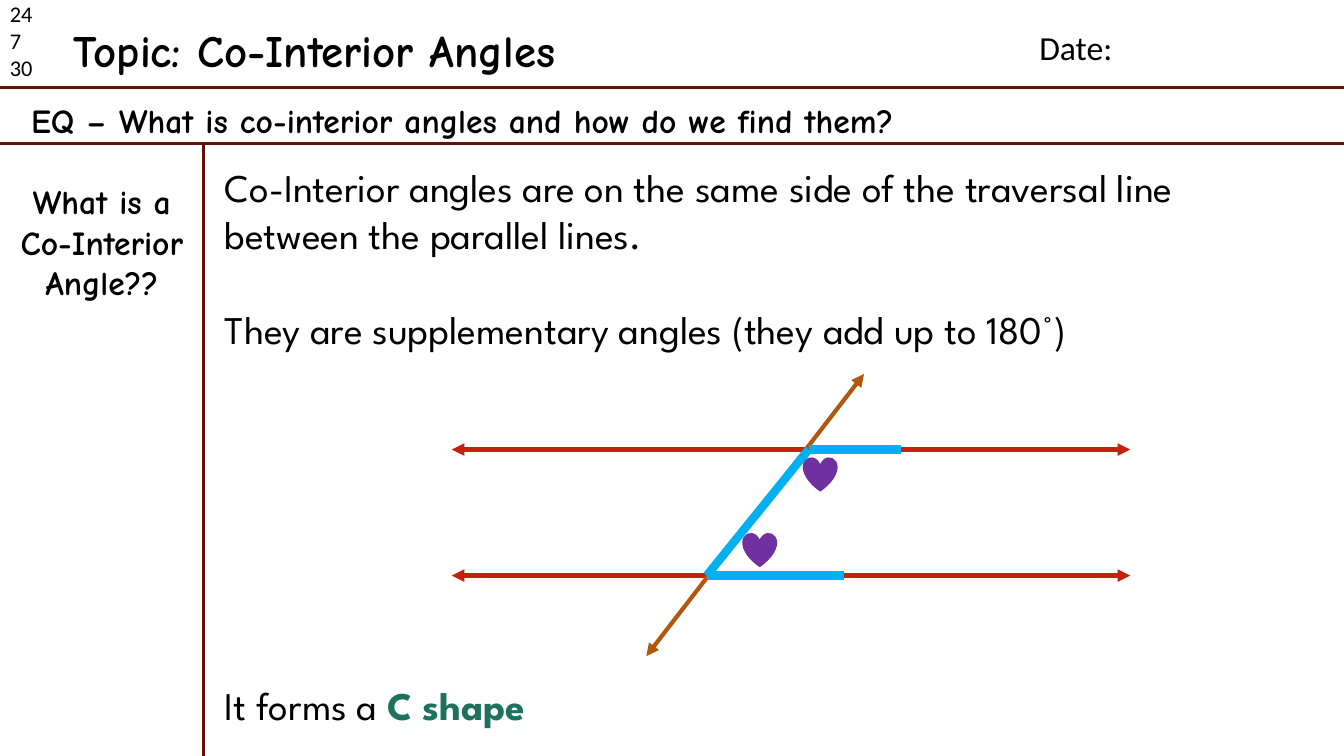
"""Build a Cornell-notes slide that explains co-interior angles."""
from lxml.etree import SubElement
from pptx import Presentation
from pptx.dml.color import RGBColor
from pptx.enum.shapes import MSO_CONNECTOR, MSO_SHAPE
from pptx.enum.text import MSO_ANCHOR, MSO_AUTO_SIZE, PP_ALIGN
from pptx.oxml.ns import qn
from pptx.util import Pt

PX = 9144
WIDTH, HEIGHT = 1333, 750
TOPIC_BOTTOM, QUESTION_BOTTOM, CUE_RIGHT = 87, 142, 202

BLACK = RGBColor(0x00, 0x00, 0x00)
MAROON = RGBColor(0x62, 0x11, 0x07)
RED = RGBColor(0xC4, 0x22, 0x0D)
BROWN = RGBColor(0xB0, 0x59, 0x0E)
BLUE = RGBColor(0x00, 0xB0, 0xF0)
PURPLE = RGBColor(0x70, 0x30, 0xA0)
GREEN = RGBColor(0x1F, 0x71, 0x5F)

PLAIN, HAND, NOTES = "Calibri", "Comic Neue", "League Spartan"


def place(shape, box):
    """Move a shape to a box of left, top, width and height in px."""
    shape.left, shape.top, shape.width, shape.height = (side * PX for side in box)


def format_text(shape, font_name, size, bold=False, align=PP_ALIGN.LEFT, wrap=True):
    """Give all the text of a shape one look, anchored at the top."""
    frame = shape.text_frame
    frame.auto_size = MSO_AUTO_SIZE.NONE
    frame.word_wrap = wrap
    frame.vertical_anchor = MSO_ANCHOR.TOP
    for paragraph in frame.paragraphs:
        paragraph.alignment = align
        for run in paragraph.runs:
            run.font.name = font_name
            run.font.size = Pt(size)
            run.font.bold = bold
            run.font.color.rgb = BLACK


def add_text(slide, box, text, font_name, size, **look):
    """Add a formatted text box."""
    shape = slide.shapes.add_textbox(*(side * PX for side in box))
    shape.text_frame.text = text
    format_text(shape, font_name, size, **look)


def add_line(slide, start, end, color, weight, arrows=False):
    """Add a straight line, with arrowheads at both ends if asked."""
    line = slide.shapes.add_connector(
        MSO_CONNECTOR.STRAIGHT, *(value * PX for value in (*start, *end)))
    line.line.color.rgb = color
    line.line.width = Pt(weight)
    if arrows:
        outline = line.line._get_or_add_ln()
        for tag in ("a:headEnd", "a:tailEnd"):
            SubElement(outline, qn(tag), type="triangle")
    SubElement(line._element.spPr, qn("a:effectLst"))


def add_rules(slide):
    """Draw the lines that part the topic, question, cue and notes."""
    for start, end in (
        ((0, TOPIC_BOTTOM), (WIDTH, TOPIC_BOTTOM)),
        ((0, QUESTION_BOTTOM), (WIDTH, QUESTION_BOTTOM)),
        ((CUE_RIGHT, QUESTION_BOTTOM), (CUE_RIGHT, HEIGHT)),
    ):
        add_line(slide, start, end, MAROON, 2.25)


def add_header(slide, box):
    """Fill the topic band with the numbers, the title and the date."""
    left, top, _, _ = box
    add_text(slide, (left, top - 5, 63, 91), "24\n7\n30", PLAIN, 16)
    title = slide.shapes.title
    place(title, (left + 63, top + 18, 530, 64))
    title.text_frame.text = "Topic: Co-Interior Angles"
    format_text(title, HAND, 32, bold=True, wrap=False)
    add_text(slide, (left + 1021, top + 22, 236, 50), "Date:", PLAIN, 24)


def add_question(slide, box):
    """Write the essential question in its band."""
    left, top, _, _ = box
    add_text(slide, (left + 21, top + 7, 1160, 50),
             "EQ – What is co-interior angles and how do we find them?",
             HAND, 24, bold=True)


def add_cue(slide, box):
    """Write the cue question in the left column."""
    left, top, width, _ = box
    add_text(slide, (left, top + 33, width, 131), "What is a Co-Interior Angle??",
             HAND, 24, bold=True, align=PP_ALIGN.CENTER)


def add_notes(slide, box):
    """Fill the body placeholder with the notes."""
    left, top, _, _ = box
    body = slide.placeholders[1]
    place(body, (left + 11, top + 15, 1044, 576))
    body.text_frame.text = (
        "Co-Interior angles are on the same side of the traversal line "
        "between the parallel lines.\n"
        "They are supplementary angles (they add up to 180°)\n"
        "It forms a ")
    paragraphs = body.text_frame.paragraphs
    shape_name = paragraphs[-1].add_run()
    shape_name.text = "C shape"
    for paragraph, gap in zip(paragraphs, (0, 34, 235)):
        properties = paragraph._p.get_or_add_pPr()
        properties.set("marL", "0")
        properties.set("indent", "0")
        SubElement(properties, qn("a:buNone"))
        paragraph.space_before = Pt(gap)
    format_text(body, NOTES, 28)
    shape_name.font.bold = True
    shape_name.font.color.rgb = GREEN


def add_diagram(slide, box):
    """Draw two parallel lines, the transversal and the marked C shape."""
    left, top, width, height = box
    right, bottom = left + width, top + height
    upper, lower = top + 75, top + 200
    upper_corner, lower_corner = (left + 354, upper), (left + 253, lower)
    for level in (upper, lower):
        add_line(slide, (left, level), (right, level), RED, 3, arrows=True)
    add_line(slide, (left + 409, top), (left + 193, bottom), BROWN, 3, arrows=True)
    for heart_left, heart_top in ((left + 349, upper + 8), (left + 289, lower - 42)):
        heart = slide.shapes.add_shape(
            MSO_SHAPE.HEART, heart_left * PX, heart_top * PX, 33 * PX, 33 * PX)
        heart.shadow.inherit = False
        heart.fill.solid()
        heart.fill.fore_color.rgb = PURPLE
        heart.line.color.rgb = PURPLE
        heart.line.width = Pt(1)
    for start, end in (
        ((left + 446, upper), upper_corner),
        (upper_corner, lower_corner),
        ((left + 389, lower), lower_corner),
    ):
        add_line(slide, start, end, BLUE, 6)


def main():
    """Build the slide and save it."""
    presentation = Presentation()
    presentation.slide_width = WIDTH * PX
    presentation.slide_height = HEIGHT * PX
    slide = presentation.slides.add_slide(presentation.slide_layouts[1])
    column_height = HEIGHT - QUESTION_BOTTOM
    add_rules(slide)
    add_header(slide, (0, 0, WIDTH, TOPIC_BOTTOM))
    add_question(slide, (0, TOPIC_BOTTOM, WIDTH, QUESTION_BOTTOM - TOPIC_BOTTOM))
    add_cue(slide, (0, QUESTION_BOTTOM, CUE_RIGHT, column_height))
    add_notes(slide, (CUE_RIGHT, QUESTION_BOTTOM, WIDTH - CUE_RIGHT, column_height))
    add_diagram(slide, (448, 371, 673, 280))
    presentation.save("out.pptx")


if __name__ == "__main__":
    main()
